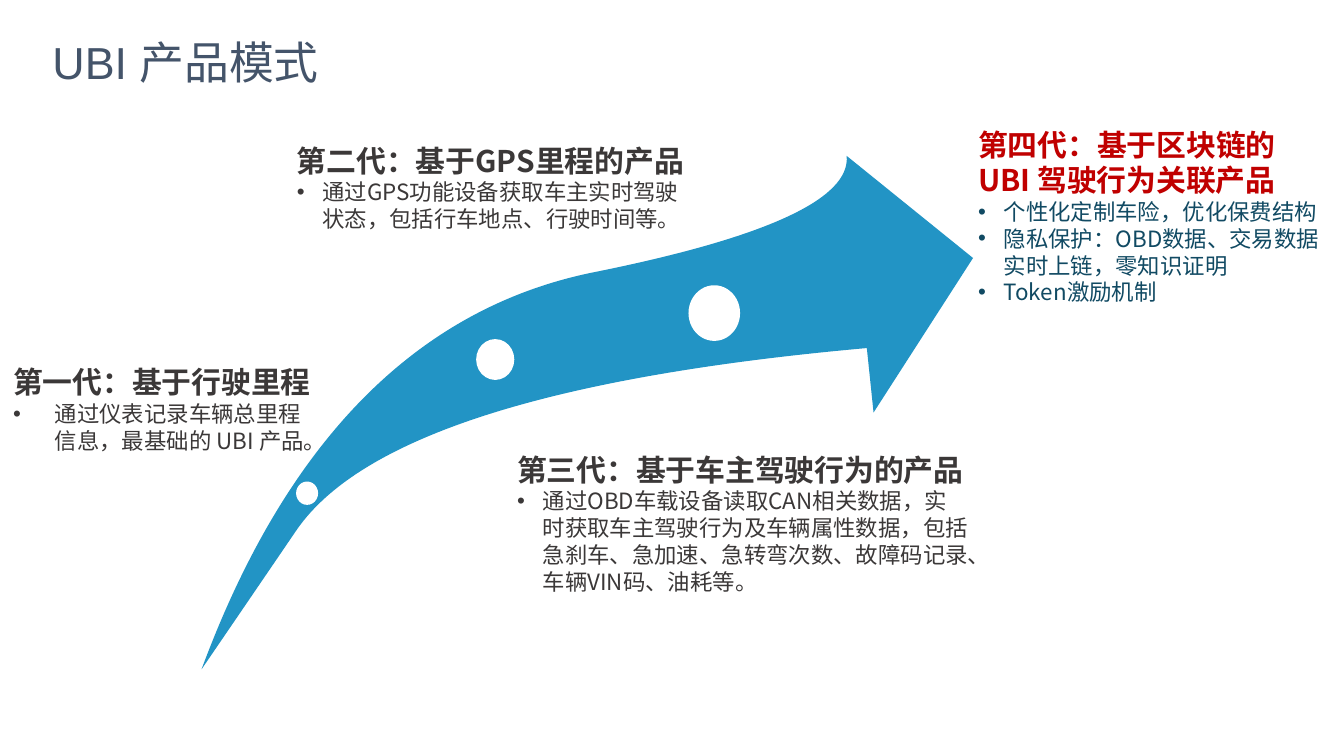
from dataclasses import dataclass

from lxml import etree
from pptx import Presentation
from pptx.dml.color import RGBColor
from pptx.enum.shapes import MSO_SHAPE
from pptx.enum.text import MSO_ANCHOR, MSO_AUTO_SIZE, PP_ALIGN
from pptx.oxml.ns import qn
from pptx.slide import Slide
from pptx.text.text import _Paragraph as Paragraph
from pptx.util import Inches, Pt


@dataclass(frozen=True)
class Theme:
    title_font: str = "Arial"
    body_font: str = "Noto Sans CJK SC"
    title_color: str = "44546A"
    text: str = "3B3838"
    accent: str = "C00000"
    detail: str = "114A63"
    arrow: str = "2294C5"
    white: str = "FFFFFF"
    title_size: int = 24
    heading_size: int = 16
    point_size: int = 12
    leading: float = 1.2


@dataclass(frozen=True)
class Generation:
    """One product generation: a heading with its bullet points."""
    left: float
    top: float
    width: float
    height: float
    heading: str
    points: tuple[str, ...]
    indent: float = 0.19
    heading_color: str = Theme.text
    point_color: str = Theme.text


@dataclass(frozen=True)
class Milestone:
    left: float
    top: float
    width: float
    height: float


THEME = Theme()

GENERATIONS = (
    Generation(0, 2.66, 2.5, 0.77, "第一代：基于行驶里程",
               ("通过仪表记录车辆总里程信息，最基础的 UBI 产品。",), indent=0.31),
    Generation(2.11, 1.01, 3.15, 0.77, "第二代：基于GPS里程的产品",
               ("通过GPS功能设备获取车主实时驾驶状态，包括行车地点、行驶时间等。",)),
    Generation(3.75, 3.31, 3.56, 1.18, "第三代：基于车主驾驶行为的产品",
               ("通过OBD车载设备读取CAN相关数据，实时获取车主驾驶行为及车辆属性数据，"
                "包括急刹车、急加速、急转弯次数、故障码记录、车辆VIN码、油耗等。",)),
    Generation(7.18, 0.89, 2.76, 1.45, "第四代：基于区块链的 UBI 驾驶行为关联产品",
               ("个性化定制车险，优化保费结构",
                "隐私保护：OBD数据、交易数据实时上链，零知识证明",
                "Token激励机制"),
               heading_color=THEME.accent, point_color=THEME.detail),
)

MILESTONES = (
    Milestone(2.21, 3.59, 0.15, 0.16),
    Milestone(3.55, 2.53, 0.27, 0.29),
    Milestone(5.13, 2.13, 0.37, 0.4),
)

# Arrow outline in hundredths of an inch, as freeform points are whole units;
# each segment holds one point for a line, or three for a Bézier curve
ARROW_UNITS_PER_INCH = 100
ARROW_START = (150, 498)
ARROW_SEGMENTS = (
    ((213, 328), (310, 230), (440, 203)),
    ((570, 177), (633, 148), (630, 116)),
    ((724, 192),),
    ((650, 307),),
    ((645, 259),),
    ((410, 280), (269, 325), (221, 394)),
    ((174, 463), (150, 498), (150, 498)),
)


def write_text(paragraph: Paragraph, text: str, *, size: int, color: str,
               font: str = THEME.body_font, bold: bool = False,
               spacing: float | Pt | None = None, indent: float = 0) -> None:
    """Write formatted text; an indent makes it a bullet point."""
    paragraph.alignment = PP_ALIGN.LEFT
    paragraph.line_spacing = spacing or Pt(size * THEME.leading)
    if indent:
        properties = paragraph._p.get_or_add_pPr()
        properties.set("marL", str(Inches(indent)))
        properties.set("indent", str(-Inches(indent)))
        etree.SubElement(properties, qn("a:buFont"), typeface="Arial")
        etree.SubElement(properties, qn("a:buChar"), char="•")
    run = paragraph.add_run()
    run.text = text
    run.font.size = Pt(size)
    run.font.bold = bold
    run.font.color.rgb = RGBColor.from_string(color)
    run.font.name = font
    etree.SubElement(run._r.get_or_add_rPr(), qn("a:ea"), typeface=THEME.body_font)


def draw_title(slide: Slide, text: str) -> None:
    title = slide.shapes.title
    title.left, title.top = Inches(0.39), Inches(0.3)
    title.width, title.height = Inches(3.73), Inches(0.36)
    frame = title.text_frame
    frame.margin_left = frame.margin_right = frame.margin_top = frame.margin_bottom = 0
    frame.vertical_anchor = MSO_ANCHOR.MIDDLE
    frame.auto_size = MSO_AUTO_SIZE.NONE
    write_text(frame.paragraphs[0], text, size=THEME.title_size,
               color=THEME.title_color, font=THEME.title_font, spacing=0.9)


def draw_arrow(slide: Slide) -> None:
    builder = slide.shapes.build_freeform(
        *ARROW_START, scale=Inches(1) / ARROW_UNITS_PER_INCH)
    builder.add_line_segments([point for segment in ARROW_SEGMENTS for point in segment])
    arrow = builder.convert_to_shape()
    arrow.shadow.inherit = False
    arrow.fill.solid()
    arrow.fill.fore_color.rgb = RGBColor.from_string(THEME.arrow)
    arrow.line.fill.background()

    # Join the control points of each curve into one Bézier command
    lines = iter(list(arrow._element.iter(qn("a:lnTo"))))
    for segment in ARROW_SEGMENTS:
        commands = [next(lines) for _ in segment]
        if len(commands) == 3:
            curve = etree.Element(qn("a:cubicBezTo"))
            commands[0].addprevious(curve)
            for command in commands:
                curve.append(command[0])
                command.getparent().remove(command)


def draw_milestone(slide: Slide, milestone: Milestone) -> None:
    dot = slide.shapes.add_shape(
        MSO_SHAPE.OVAL, Inches(milestone.left), Inches(milestone.top),
        Inches(milestone.width), Inches(milestone.height))
    dot.shadow.inherit = False
    dot.fill.solid()
    dot.fill.fore_color.rgb = RGBColor.from_string(THEME.white)
    dot.line.color.rgb = RGBColor.from_string(THEME.white)
    dot.line.width = Pt(1)


def draw_generation(slide: Slide, generation: Generation) -> None:
    frame = slide.shapes.add_textbox(
        Inches(generation.left), Inches(generation.top),
        Inches(generation.width), Inches(generation.height)).text_frame
    frame.word_wrap = True
    write_text(frame.paragraphs[0], generation.heading, size=THEME.heading_size,
               color=generation.heading_color, bold=True)
    for point in generation.points:
        write_text(frame.add_paragraph(), point, size=THEME.point_size,
                   color=generation.point_color, indent=generation.indent)


def main() -> None:
    presentation = Presentation()
    # Widescreen, 16:9
    presentation.slide_width = Inches(10)
    presentation.slide_height = Inches(10) * 9 // 16
    slide = presentation.slides.add_slide(presentation.slide_layouts[5])

    draw_title(slide, "UBI 产品模式")

    # Growth arrow with its milestones
    draw_arrow(slide)
    for milestone in MILESTONES:
        draw_milestone(slide, milestone)

    # Product generations around the arrow
    for generation in GENERATIONS:
        draw_generation(slide, generation)

    presentation.save("out.pptx")


if __name__ == "__main__":
    main()
